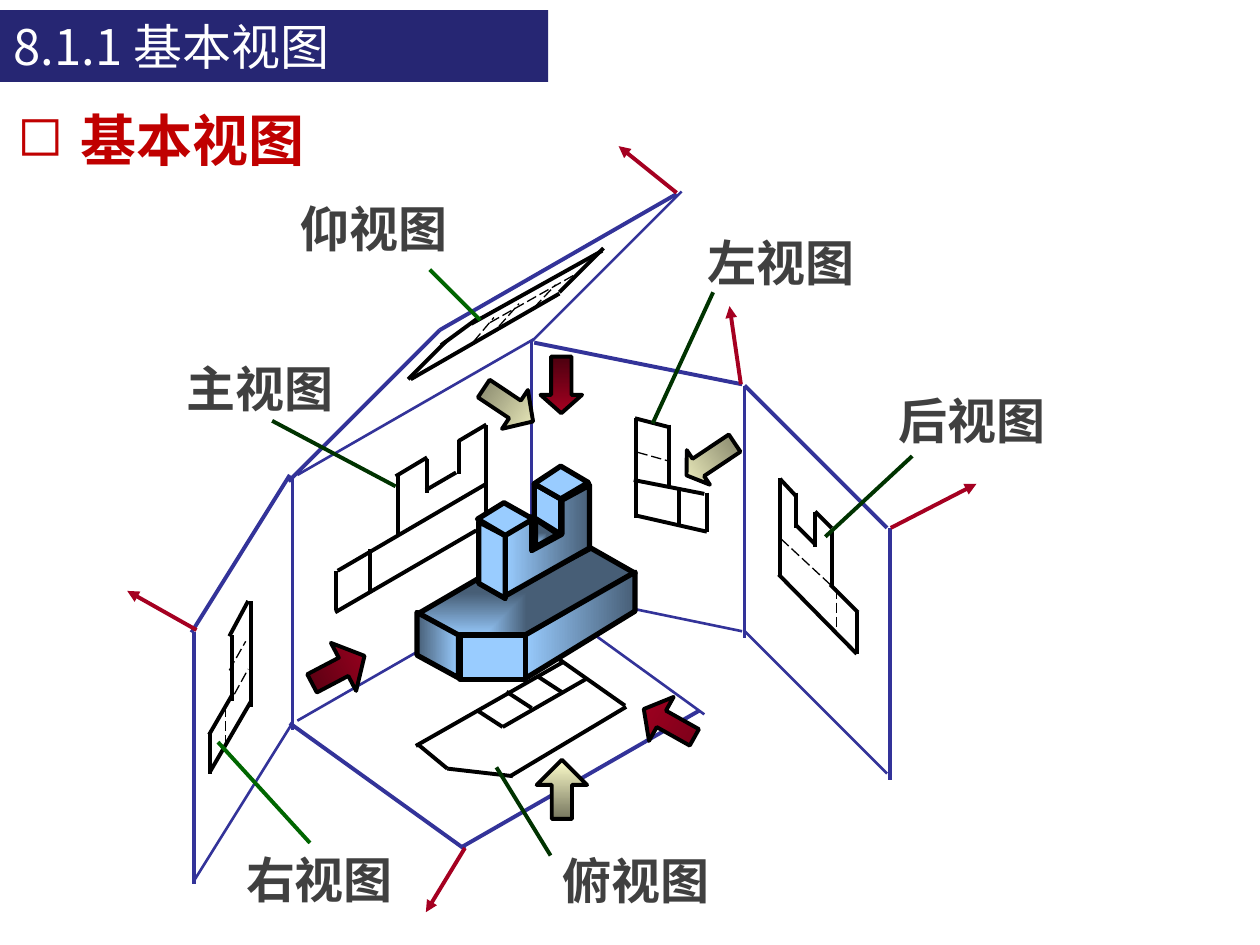
import pptx
import pptx.util
import pptx.dml.color
import pptx.enum.dml
import pptx.enum.shapes
import pptx.enum.text
import pptx.oxml
import pptx.oxml.ns
from lxml import etree

Inches, Pt = pptx.util.Inches, pptx.util.Pt
qn = pptx.oxml.ns.qn
SHAPE = pptx.enum.shapes.MSO_SHAPE


class Theme:
    font = "Noto Sans CJK SC"
    title, heading, label = 28, 32, 28
    thin, medium, thick, dash = 1.5, 2.25, 3, 0.75
    banner, white, accent, grey, black = "262673", "FFFFFF", "C00000", "404040", "000000"
    plane, axis, dark_green, green = "333399", "A50021", "003300", "006600"
    blue, shaded = "99CCFF", "475E76"
    red_in, red_out = ("4C000F", "A50021"), ("A50021", "760018")
    cream_in, cream_out = ("76765E", "FFFFCC"), ("FFFFCC", "76765E")


def rgb(color):
    return pptx.dml.color.RGBColor.from_string(color)


def add_line(shapes, box, seg, color, width, dashed=False, arrow=False):
    x, y = box
    x1, y1, x2, y2 = seg
    c = shapes.add_connector(pptx.enum.shapes.MSO_CONNECTOR.STRAIGHT,
                             Inches(x + x1), Inches(y + y1), Inches(x + x2), Inches(y + y2))
    c.line.color.rgb = rgb(color)
    c.line.width = Pt(width)
    if dashed:
        c.line.dash_style = pptx.enum.dml.MSO_LINE.LONG_DASH
    if arrow:
        etree.SubElement(c.line._get_or_add_ln(), qn("a:tailEnd"), type="triangle")
    etree.SubElement(c._element.spPr, qn("a:effectLst"))


def paint(sp, fill, angle=0, corner=False, width=None):
    """Fill with one colour or a (start, end) gradient, and outline in black."""
    sp.shadow.inherit = False
    if isinstance(fill, str):
        sp.fill.solid()
        sp.fill.fore_color.rgb = rgb(fill)
    else:
        sp.fill.gradient()
        for stop, color in zip(sp.fill.gradient_stops, fill):
            stop.color.rgb = rgb(color)
        grad = sp._element.spPr.find(qn("a:gradFill"))
        lin = grad.find(qn("a:lin"))
        lin.set("ang", str(angle * 60000))
        lin.set("scaled", "0")
        if corner:
            route = etree.Element(qn("a:path"), path="rect")
            etree.SubElement(route, qn("a:fillToRect"), t="100000", r="100000")
            grad.replace(lin, route)
    if width:
        sp.line.color.rgb = rgb(Theme.black)
        sp.line.width = Pt(width)
    else:
        sp.line.fill.background()


def add_text(s, box, text, size, color, bold=False, wrap=True):
    tf = s.shapes.add_textbox(*map(Inches, box)).text_frame
    tf.word_wrap = wrap
    p = tf.paragraphs[0]
    p.text = text
    p.font.name, p.font.size, p.font.bold = Theme.font, Pt(size), bold
    p.font.color.rgb = rgb(color)
    latin = p.font._element.find(qn("a:latin"))
    latin.addnext(latin.makeelement(qn("a:ea"), {"typeface": Theme.font}))
    return tf


def header(s, box):
    x, y, w, h = box
    sp = s.shapes.add_shape(SHAPE.RECTANGLE, *map(Inches, box))
    paint(sp, Theme.banner)
    tf = add_text(s, (x + 0.01, y, w - 0.02, h), "8.1.1 基本视图", Theme.title, Theme.white)
    tf.vertical_anchor = pptx.enum.text.MSO_ANCHOR.BOTTOM


def heading(s, box):
    p = add_text(s, box, "基本视图", Theme.heading, Theme.accent, bold=True).paragraphs[0]
    p.space_before = Pt(6.4)
    pPr = p._p.get_or_add_pPr()
    pPr.set("marL", str(Inches(0.5)))
    pPr.set("indent", str(-Inches(0.5)))
    bullet = pPr.makeelement(qn("a:buChar"), {"char": "◻"})
    pPr.find(qn("a:defRPr")).addprevious(bullet)


def planes(s, box, thin, medium):
    g = s.shapes.add_group_shape().shapes
    for segs, width in ((thin, Theme.thin), (medium, Theme.medium)):
        for seg in segs:
            add_line(g, box, seg, Theme.plane, width)


def view(s, box, visible, hidden=()):
    g = s.shapes.add_group_shape().shapes
    for seg in visible:
        add_line(g, box, seg, Theme.black, Theme.medium)
    for seg in hidden:
        add_line(g, box, seg, Theme.black, Theme.dash, dashed=True)


def sight_arrow(s, box, kind, adj, rot, fill, angle):
    sp = s.shapes.add_shape(kind, *map(Inches, box))
    sp.adjustments[0], sp.adjustments[1] = adj
    sp.rotation = rot
    paint(sp, fill, angle, width=Theme.medium)


def callout(s, box, text, leader, color):
    add_line(s.shapes, box, leader, color, Theme.medium)
    tf = add_text(s, (*box, 1.39, 0.57), text, Theme.label, Theme.grey, bold=True, wrap=False)
    tf.auto_size = pptx.enum.text.MSO_AUTO_SIZE.SHAPE_TO_FIT_TEXT
    tf.paragraphs[0].alignment = pptx.enum.text.PP_ALIGN.CENTER


def solid(s, box, faces):
    g = s.shapes.add_group_shape().shapes
    for points, fill, corner in faces:
        pts = [(Inches(box[0] + x), Inches(box[1] + y)) for x, y in points]
        fb = g.build_freeform(*pts[0])
        fb.add_line_segments(pts[1:], close=True)
        paint(fb.convert_to_shape(), fill, corner=corner, width=Theme.thick)


# Projection planes and views: segments (x1, y1, x2, y2) from the box corner
PLANES_THIN = [
    (3.22, 1.71, 3.22, 3.71), (1.32, 2.79, 1.32, 4.79), (1.36, 2.77, 3.24, 1.69),
    (4.41, 0.52, 3.21, 1.72), (1.36, 4.72, 3.24, 3.64), (1.32, 4.74, 0.54, 5.99),
    (3.21, 3.67, 4.59, 4.67), (4.91, 2.06, 4.91, 4.06), (3.24, 3.67, 4.89, 4.01),
    (4.91, 4.01, 6.04, 5.14)]
PLANES_MEDIUM = [
    (2.49, 1.62, 4.37, 0.54), (2.67, 5.72, 4.55, 4.64), (1.3, 2.77, 0.52, 4.02),
    (1.3, 4.74, 2.69, 5.74), (0.54, 4.02, 0.54, 6.02), (3.24, 1.72, 4.89, 2.05),
    (6.06, 3.19, 6.06, 5.19), (4.91, 2.06, 6.04, 3.19), (2.49, 1.62, 1.29, 2.82)]
FRONT = [
    (0.68, 1.53, 1.86, 0.84), (0.66, 1.86, 1.78, 1.21), (1.86, 1.06, 1.86, 0.37),
    (1.16, 0.76, 1.16, 1.24), (1.64, 0.49, 1.64, 0.76), (1.62, 0.75, 1.38, 0.89),
    (0.94, 1.36, 0.94, 1.69), (0.67, 1.53, 0.67, 1.84), (1.39, 0.64, 1.39, 0.91),
    (1.86, 0.37, 1.64, 0.5), (1.39, 0.63, 1.14, 0.78)]
TOP = [
    (1.96, 0.6, 1.42, 0.22), (0.55, 1.1, 0.32, 0.91), (0.55, 1.1, 1.07, 1.16),
    (1.05, 1.16, 1.97, 0.61), (0.3, 0.92, 1.46, 0.26), (0.79, 0.64, 0.99, 0.77),
    (0.99, 0.77, 1.65, 0.39), (1.02, 0.49, 1.22, 0.62), (1.27, 0.37, 1.47, 0.5)]
LEFT = [
    (0.31, 0.37, 0.31, 0.87), (0.05, 1.11, 0.05, 0.32), (0.31, 0.39, 0.04, 0.32),
    (0.61, 0.91, 0.61, 1.22), (0.61, 1.22, 0.04, 1.09), (0.59, 0.92, 0.03, 0.81),
    (0.39, 0.87, 0.39, 1.17)]
REAR = [
    (0.8, 2.19, 0.18, 1.56), (0.19, 0.79, 0.19, 1.58), (0.8, 1.86, 0.8, 2.19),
    (0.6, 1.21, 0.6, 1.66), (0.59, 1.64, 0.81, 1.86), (0.32, 0.91, 0.32, 1.19),
    (0.47, 1.06, 0.47, 1.34), (0.47, 1.06, 0.6, 1.19), (0.19, 0.8, 0.32, 0.94),
    (0.32, 1.17, 0.47, 1.32)]
RIGHT = [
    (0.99, 1.57, 0.67, 2.12), (0.99, 1.61, 0.99, 0.77), (0.67, 2.14, 0.67, 1.82),
    (0.84, 1.52, 0.66, 1.83), (0.97, 0.77, 0.82, 1.05), (0.84, 1.04, 0.84, 1.56)]
BOTTOM = [
    (0.8, 1.52, 0.5, 1.74), (0.26, 2.01, 1.44, 1.33), (0.74, 1.57, 1.78, 0.99),
    (1.44, 1.32, 1.79, 0.97), (0.24, 2.01, 0.54, 1.71)]
VIEWS = [
    ((2, 3), FRONT, []), ((3, 5), TOP, []), ((5, 3), LEFT, [(0.06, 0.59, 0.31, 0.66)]),
    ((6, 3), REAR, [(0.59, 1.64, 0.18, 1.26), (0.64, 1.67, 0.64, 2.04)]),
    ((1, 4), RIGHT, [(0.86, 1.51, 0.97, 1.31), (0.79, 1.61, 0.79, 1.94), (0.82, 1.32, 0.95, 1.09)]),
    ((3, 1), BOTTOM, [(0.76, 1.71, 0.92, 1.52), (0.89, 1.56, 1.58, 1.17),
                      (0.96, 1.59, 1.12, 1.41), (1.24, 1.44, 1.41, 1.26)])]
# Viewing directions: box, shape, adjustments, rotation, colours, gradient angle
ARROWS = [
    ((4.29, 2.83, 0.33, 0.45), SHAPE.DOWN_ARROW, (0.491, 0.443), 0, Theme.red_in, 90),
    ((5.08, 5.54, 0.46, 0.4), SHAPE.LEFT_ARROW, (0.373, 0.4), 29.3, Theme.red_out, 0),
    ((2.45, 5.1, 0.47, 0.43), SHAPE.RIGHT_ARROW, (0.38, 0.436), 332.3, Theme.red_in, 0),
    ((5.41, 3.48, 0.46, 0.33), SHAPE.LEFT_ARROW, (0.5, 0.344), 326.2, Theme.cream_out, 0),
    ((4.26, 6.03, 0.4, 0.47), SHAPE.UP_ARROW, (0.403, 0.5), 0, Theme.cream_out, 90),
    ((3.8, 3.03, 0.47, 0.37), SHAPE.RIGHT_ARROW, (0.455, 0.467), 33.7, Theme.cream_in, 0)]
# Labels: corner, text, leader from that corner, leader colour
CALLOUTS = [
    ((4.35, 6.7), "俯视图", (-0.41, -0.61, 0.02, 0.09), Theme.dark_green),
    ((1.37, 2.8), "主视图", (1.77, 1.06, 0.79, 0.54), Theme.dark_green),
    ((5.5, 1.8), "左视图", (-0.32, 1.56, 0.16, 0.52), Theme.dark_green),
    ((1.84, 6.69), "右视图", (-0.11, -0.8, 0.62, 0), Theme.green),
    ((2.27, 1.53), "仰视图", (1.54, 1.01, 1.14, 0.61), Theme.green),
    ((7.02, 3.05), "后视图", (-0.47, 1.21, 0.22, 0.57), Theme.dark_green)]
AXES = [(2.69, 5.73, 2.38, 6.24), (4.88, 2.05, 4.79, 1.43), (6.07, 3.19, 6.75, 2.84),
        (4.37, 0.53, 3.91, 0.16), (0.56, 4, 0.01, 3.69)]
# Solid faces, back to front: outline, fill, gradient from the corner
LIT, DIM = (Theme.blue, Theme.shaded), (Theme.shaded, Theme.blue)
FACES = [
    ([(1.69, 1.35), (2.04, 1.55), (1.16, 2.06), (0.65, 2.06), (0.32, 1.87), (0.8, 1.59),
      (1.01, 1.71)], LIT, True),
    ([(2.04, 1.85), (2.04, 1.54), (1.15, 2.05), (1.16, 2.39)], LIT, False),
    ([(0.65, 2.04), (1.17, 2.04), (1.17, 2.39), (0.65, 2.39)], Theme.blue, False),
    ([(0.31, 1.86), (0.31, 2.2), (0.64, 2.38), (0.64, 2.04)], DIM, False),
    ([(1.68, 0.85), (1.68, 1.35), (1.01, 1.73), (1.01, 1.22), (1.22, 1.1), (1.22, 1.37),
      (1.46, 1.24), (1.46, 0.97)], LIT, False),
    ([(1.24, 0.84), (1.45, 0.96), (1.45, 1.24), (1.24, 1.11)], Theme.blue, False),
    ([(1.01, 1.25), (1.01, 1.75), (0.8, 1.63), (0.8, 1.14)], Theme.blue, False),
    ([(0.79, 1.12), (1.01, 1.25), (1.23, 1.12), (1, 0.99)], Theme.blue, False),
    ([(1.24, 0.84), (1.45, 0.96), (1.67, 0.83), (1.45, 0.7)], Theme.blue, False),
    ([(1.25, 1.12), (1.43, 1.24), (1.25, 1.34)], LIT, True)]

prs = pptx.Presentation()
prs.slide_width, prs.slide_height = Inches(10), Inches(7.5)
s = prs.slides.add_slide(prs.slide_layouts[6])
header(s, (0, 0.08, 4.35, 0.57))
heading(s, (0.04, 0.79, 9.54, 0.67))
planes(s, (1, 1), PLANES_THIN, PLANES_MEDIUM)
for args in VIEWS:
    view(s, *args)
for args in ARROWS:
    sight_arrow(s, *args)
for args in CALLOUTS:
    callout(s, *args)
for axis in AXES:
    add_line(s.shapes, (1, 1), axis, Theme.axis, Theme.medium, arrow=True)
solid(s, (3, 3), FACES)
prs.save("out.pptx")
